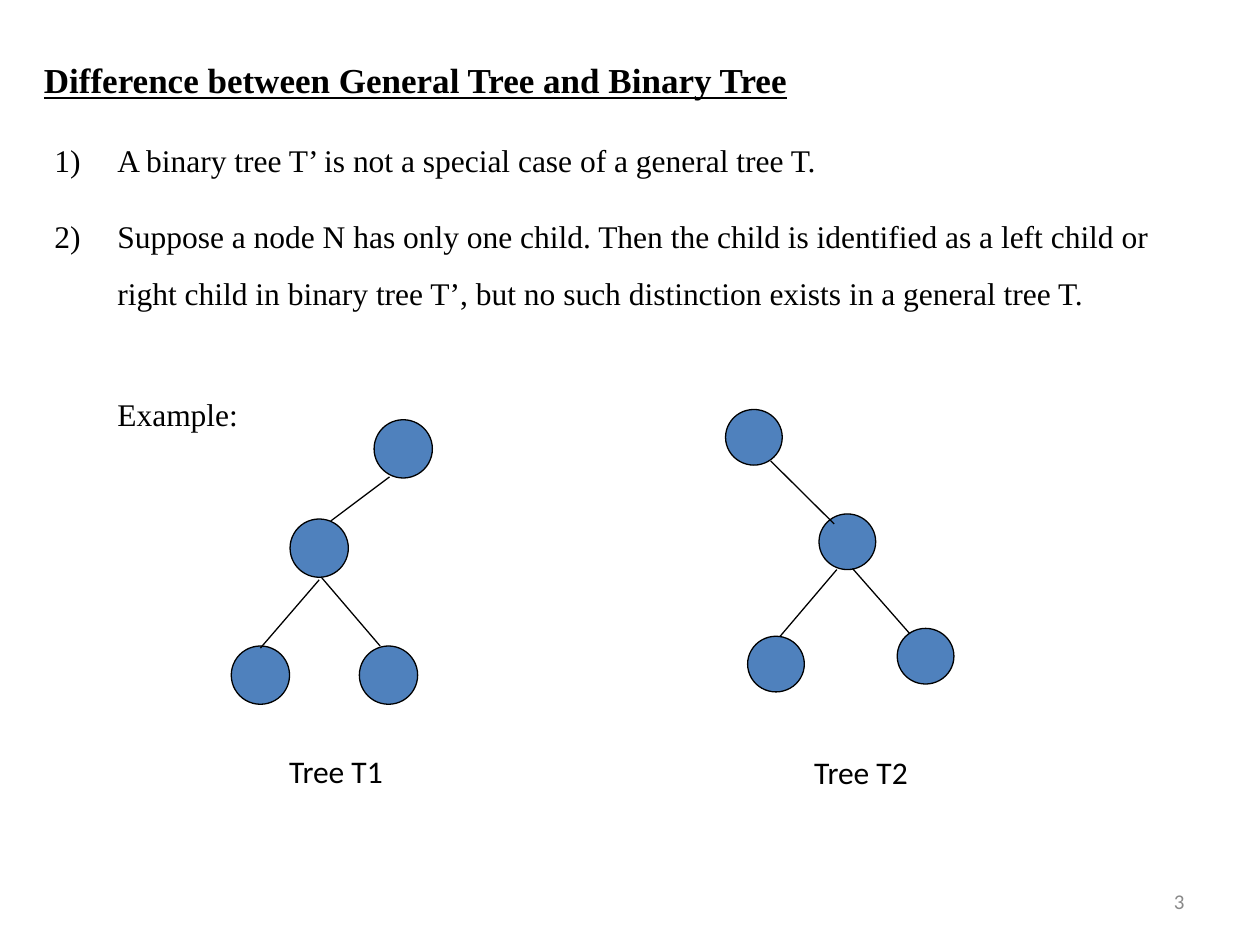
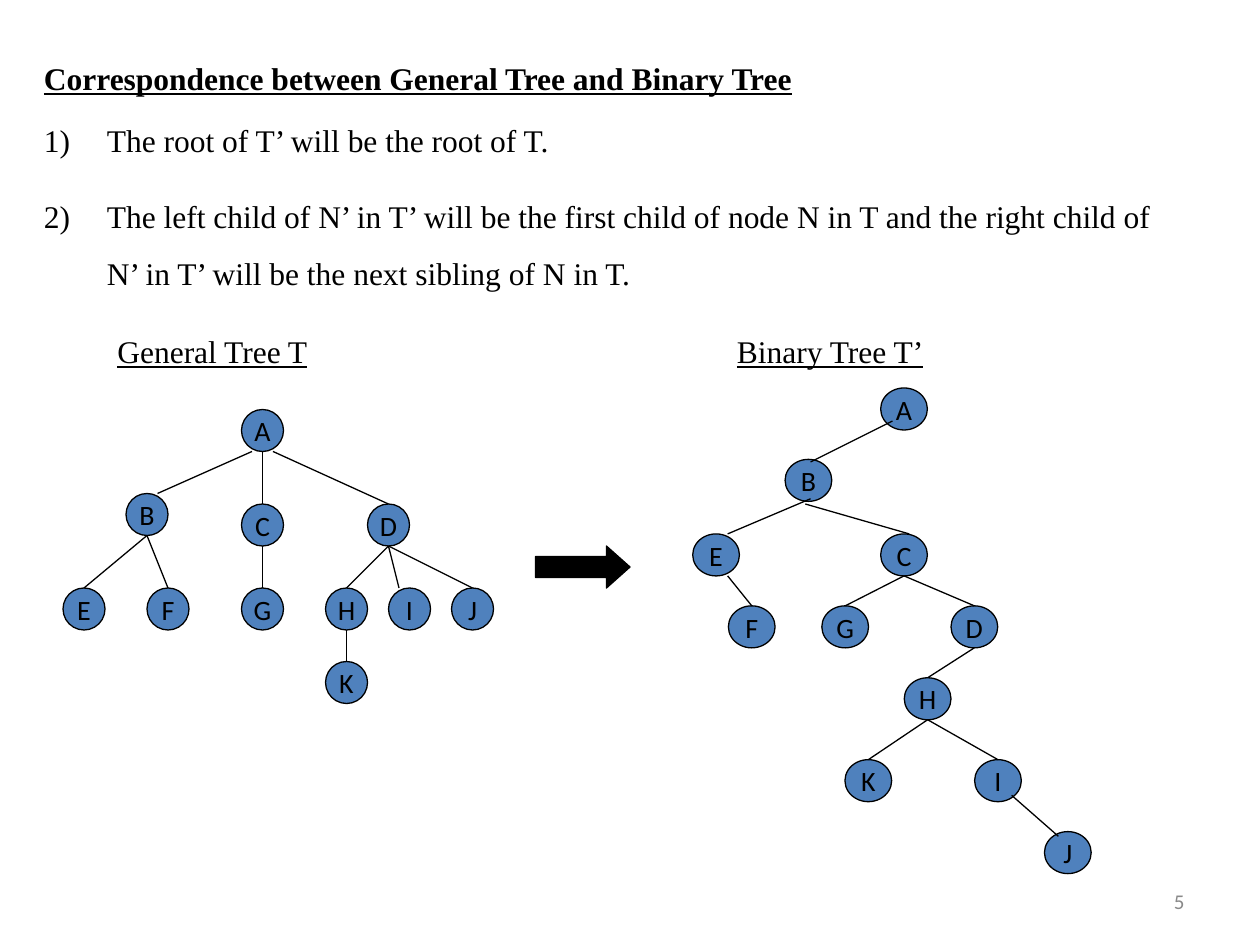
from dataclasses import dataclass

from pptx import Presentation, util as u
from pptx.dml.color import RGBColor
from pptx.enum import shapes, text
from pptx.oxml import ns, xmlchemy as xc


@dataclass(frozen=True)
class Theme:
    ink: RGBColor = RGBColor.from_string("000000")
    node: RGBColor = RGBColor.from_string("4F81BD")
    muted: RGBColor = RGBColor.from_string("898989")
    serif: str = "Times New Roman"
    sans: str = "Calibri"
    title: int = 20
    body: int = 18
    label: int = 16
    footer: int = 12
    line: float = 0.75
    before: float = 11.2


T = Theme()
COLS, ROWS = 120, 90
LEFT, CENTER, RIGHT = text.PP_ALIGN.LEFT, text.PP_ALIGN.CENTER, text.PP_ALIGN.RIGHT
TOP, MIDDLE = text.MSO_ANCHOR.TOP, text.MSO_ANCHOR.MIDDLE

prs = Presentation()
prs.slide_width, prs.slide_height = u.Inches(10), u.Inches(7.5)


def cells(*values):
    sides = (prs.slide_width / COLS, prs.slide_height / ROWS)
    return [u.Emu(round(v * sides[i % 2])) for i, v in enumerate(values)]


def write(sp, *lines, size=T.body, font=T.serif, color=T.ink, bold=False, underline=False,
          align=LEFT, anchor=TOP, before=0, spacing=1.0, numbered=False, wrap=True):
    tf = sp.text_frame
    tf.word_wrap, tf.vertical_anchor = wrap, anchor
    for i, line in enumerate(lines):
        p = tf.add_paragraph() if i else tf.paragraphs[0]
        p.alignment, p.line_spacing, p.space_before = align, spacing, u.Pt(before)
        if numbered:
            pPr = p._p.get_or_add_pPr()
            pPr.set("marL", str(u.Inches(0.5)))
            pPr.set("indent", str(u.Inches(-0.5)))
            bullet = xc.OxmlElement("a:buAutoNum")
            bullet.set("type", "arabicParenR")
            pPr.append(bullet)
        r = p.add_run()
        r.text = line
        f = r.font
        f.size, f.name, f.bold, f.underline = u.Pt(size), font, bold, underline
        f.color.rgb = color


HEADING = dict(bold=True, underline=True, anchor=MIDDLE)
POINTS = dict(numbered=True, spacing=1.5, before=T.before)
CAPTION = dict(font=T.sans, align=CENTER)
SUBHEAD = dict(underline=True, before=T.before)
FOOTER = dict(size=T.footer, font=T.sans, color=T.muted, align=RIGHT, anchor=MIDDLE)

difference = dict(
    number="3",
    texts=[
        ((3, 5, 110, 5.2), ["Difference between General Tree and Binary Tree"],
         dict(HEADING, size=T.title)),
        ((4, 11, 113, 19.3),
         ["A binary tree T’ is not a special case of a general tree T.",
          "Suppose a node N has only one child. Then the child is identified as a left child "
          "or right child in binary tree T’, but no such distinction exists in a general "
          "tree T."], POINTS),
        ((10, 37, 17, 4.8), ["Example:"], dict(before=T.before)),
        ((22, 71, 20, 4.8), ["Tree T1"], CAPTION),
        ((72, 71.1, 20, 4.8), ["Tree T2"], CAPTION),
    ],
    trees=[
        dict(size=(5.55, 5.55), labelled=False,
             nodes={"root": (38.4, 42.75), "child": (30.4, 52.2),
                    "left": (24.8, 64.3), "right": (37, 64.3)},
             edges=[("root", "child", (-1.3, -0.1), (1.1, 0.2)),
                    ("child", "right", (0.2, 0), (-0.8, 0)),
                    ("child", "left", (0, 0.25), (0, 0.2))]),
        dict(size=(5.4, 5.3), labelled=False,
             nodes={"root": (71.8, 41.65), "child": (80.7, 51.6),
                    "left": (73.9, 63.25), "right": (88.15, 62.5)},
             edges=[("child", "right", (0.5, -0.1), (-1.5, 0.5)),
                    ("child", "left", (-1, 0), (0.4, 0)),
                    ("root", "child", (1.6, -0.4), (-1.25, 0.95))]),
    ],
    arrows=[],
)

correspondence = dict(
    number="5",
    texts=[
        ((3, 5, 117, 4.8), ["Correspondence between General Tree and Binary Tree"], HEADING),
        ((3, 9.1, 111, 19.3),
         ["The root of T’ will be the root of T.",
          "The left child of N’ in T’ will be the first child of node N in T and the right "
          "child of N’ in T’ will be the next sibling of N in T."], POINTS),
        ((10, 31, 56, 4.8), ["General Tree T"], SUBHEAD),
        ((69, 31, 39, 4.8), ["Binary Tree T’"], SUBHEAD),
    ],
    trees=[
        dict(size=(4, 4), labelled=True,
             nodes={"A": (25, 41), "B": (14, 49), "C": (25, 50), "D": (37, 50),
                    "E": (8, 58), "F": (16, 58), "G": (25, 58), "H": (33, 58),
                    "I": (39, 58), "J": (45, 58), "K": (33, 65)},
             edges=[("A", "C"), ("A", "B", (-1, 0), (1, 0)), ("A", "D", (1, 0)),
                    ("B", "F"), ("B", "E"), ("C", "G"), ("D", "I", (0, 0), (-1, 0)),
                    ("H", "K"), ("D", "H"), ("D", "J")]),
        dict(size=(4.45, 4), labelled=True,
             nodes={"A": (86.1, 38.95), "B": (77, 45.75), "E": (68.2, 52.85),
                    "C": (86.1, 52.85), "F": (71.6, 59.7), "G": (80.5, 59.7),
                    "D": (92.8, 59.7), "H": (88.35, 66.55), "K": (82.7, 74.35),
                    "I": (95.05, 74.35), "J": (101.7, 81.2)},
             edges=[("A", "B", (-1.1, -0.85), (0.2, 0.25)),
                    ("B", "E", (0.2, -0.25), (1.1, 0)),
                    ("B", "C", (-0.3, 0.25), (0.5, 0)), ("E", "F", (1.1, 0)),
                    ("C", "G"), ("C", "D"), ("D", "H"), ("H", "K"), ("H", "I"),
                    ("I", "J", (1.3, -0.6), (-0.9, 0.45))]),
    ],
    arrows=[(51, 52, 9, 4)],
)

for page in (difference, correspondence):
    s = prs.slides.add_slide(prs.slide_layouts[6])
    for box, lines, fmt in page["texts"]:
        write(s.shapes.add_textbox(*cells(*box)), *lines, **fmt)

    for tree in page["trees"]:
        group = s.shapes.add_group_shape()
        w, h = tree["size"]
        nodes = tree["nodes"]
        for name, (x, y) in nodes.items():
            sp = group.shapes.add_shape(shapes.MSO_SHAPE.OVAL, *cells(x - w / 2, y - h / 2, w, h))
            sp.shadow.inherit = False
            sp.fill.solid()
            sp.fill.fore_color.rgb = T.node
            sp.line.color.rgb, sp.line.width = T.ink, u.Pt(T.line)
            if tree["labelled"]:
                write(sp, name, size=T.label, font=T.sans, align=CENTER, anchor=MIDDLE, wrap=False)
        for parent, child, *shifts in tree["edges"]:
            (dx1, dy1), (dx2, dy2) = (shifts + [(0, 0), (0, 0)])[:2]
            (x1, y1), (x2, y2) = nodes[parent], nodes[child]
            ends = cells(x1 + dx1, y1 + h / 2 + dy1, x2 + dx2, y2 - h / 2 + dy2)
            edge = group.shapes.add_connector(shapes.MSO_CONNECTOR.STRAIGHT, *ends)
            edge.line.color.rgb, edge.line.width = T.ink, u.Pt(T.line)
            edge._element.spPr.append(xc.OxmlElement("a:effectLst"))

    for box in page["arrows"]:
        sp = s.shapes.add_shape(shapes.MSO_SHAPE.RIGHT_ARROW, *cells(*box))
        sp.adjustments[0], sp.adjustments[1] = 0.5, 0.56
        sp.shadow.inherit = False
        sp.fill.solid()
        sp.fill.fore_color.rgb = T.ink
        sp.line.color.rgb, sp.line.width = T.ink, u.Pt(T.line)

    write(s.shapes.add_textbox(*cells(86, 83.4, 28, 4.8)), page["number"], **FOOTER)

prs.save("out.pptx")
